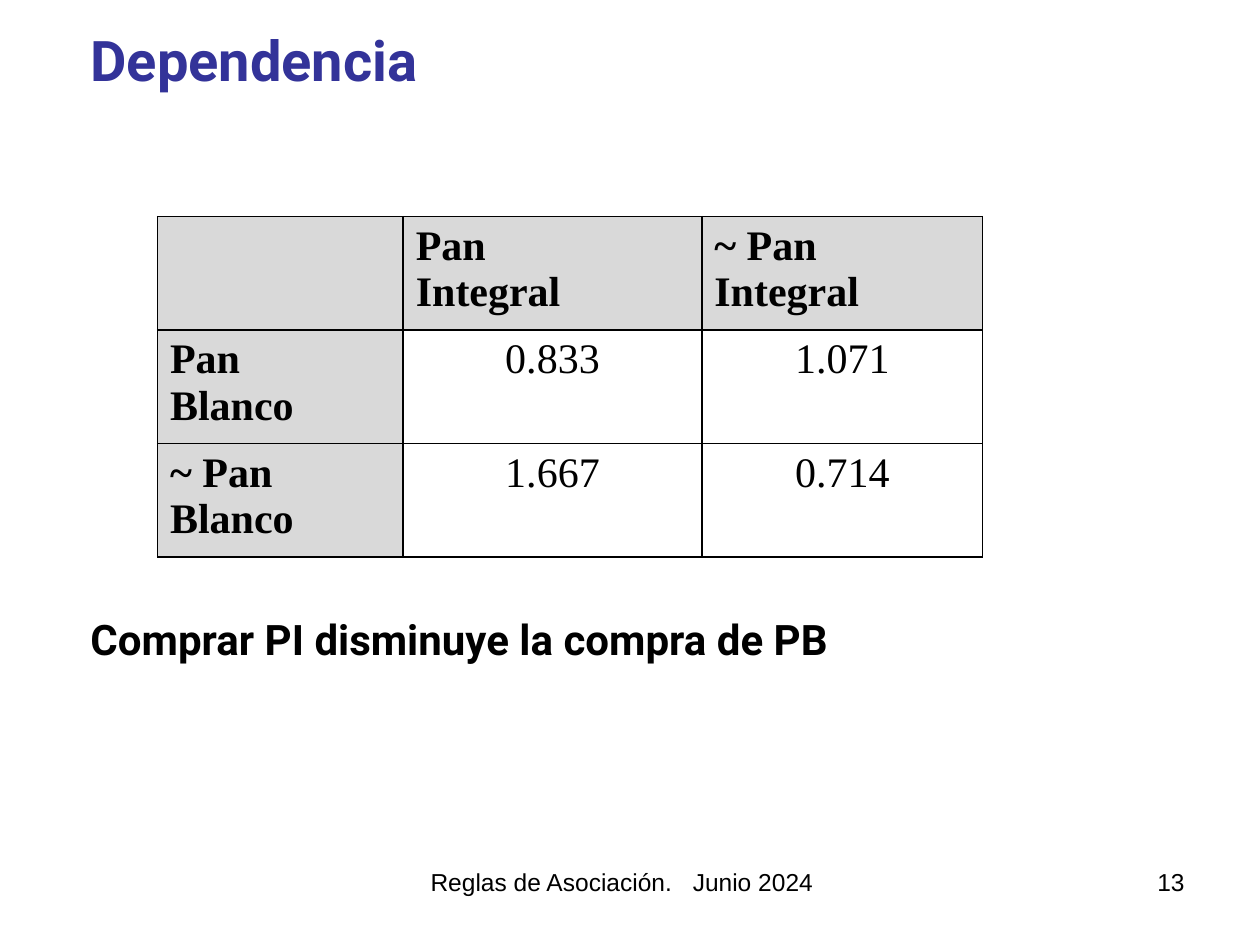
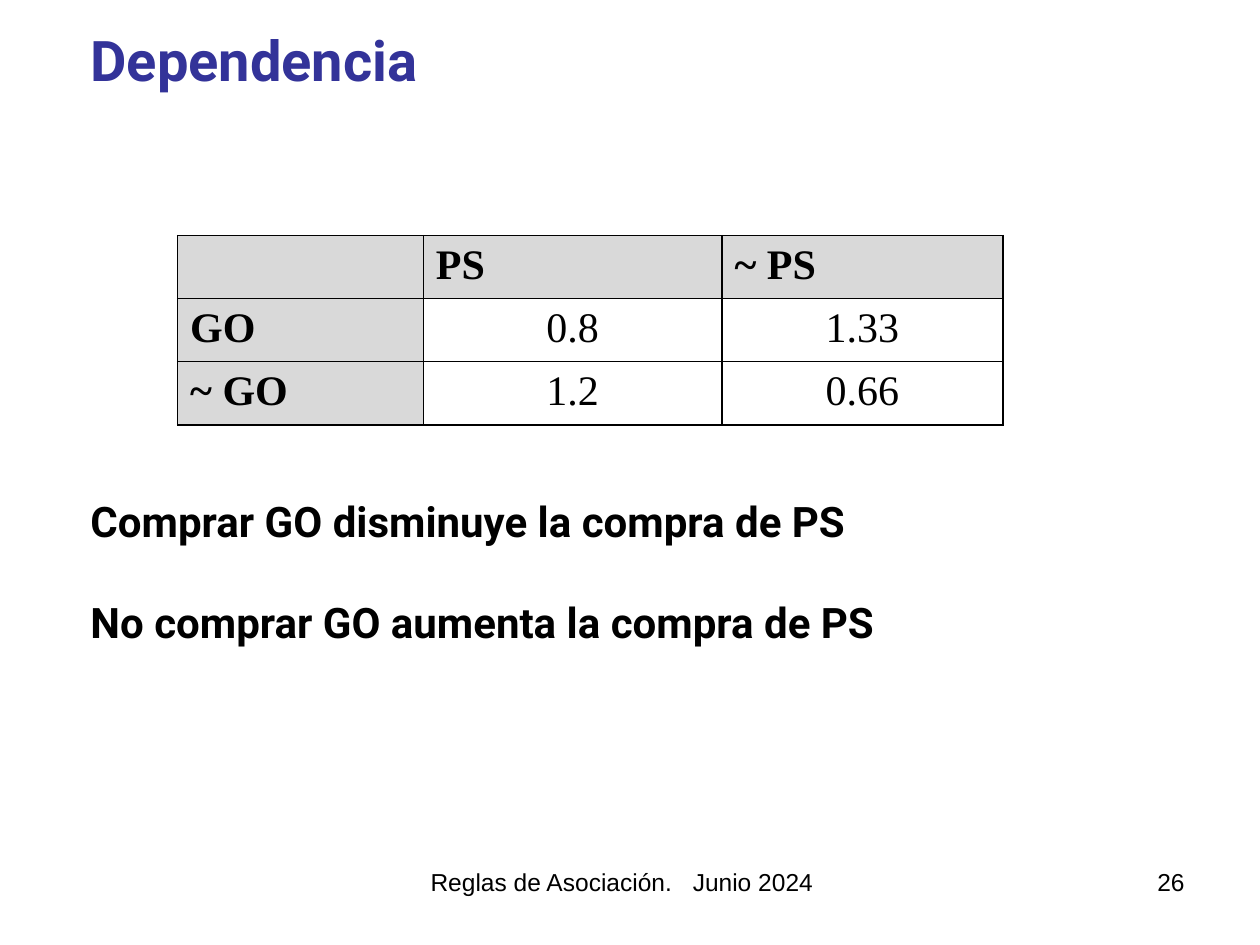
from lxml import etree
from pptx import Presentation
from pptx.dml.color import RGBColor
from pptx.enum.text import PP_ALIGN
from pptx.oxml.ns import qn
from pptx.util import Inches, Pt

LEFT, MID, RIGHT = PP_ALIGN.LEFT, PP_ALIGN.CENTER, PP_ALIGN.RIGHT

# Content: notes pair a gap (big lines, small lines) with a sentence
TITLE = "Dependencia"
FOOT = [("Reglas de Asociación.", 0), (" ", 7.8), ("Junio 2024", 0)]
SLIDES = [
    {
        "page": "13", "at": (1.25, 1.72), "row": 0.9, "high": 6.43,
        "grid": [
            ["", "Pan\nIntegral", "~ Pan\nIntegral"],
            ["Pan\nBlanco", "0.833", "1.071"],
            ["~ Pan\nBlanco", "1.667", "0.714"],
        ],
        "notes": [((7, 1), "Comprar PI disminuye la compra de PB")],
    },
    {
        "page": "26", "at": (1.41, 1.87), "row": 0.5, "high": 5.92,
        "grid": [
            ["", "PS", "~ PS"],
            ["GO", "0.8", "1.33"],
            ["~ GO", "1.2", "0.66"],
        ],
        "notes": [
            ((6, 0), "Comprar GO disminuye la compra de PS"),
            ((0, 1), "No comprar GO aumenta la compra de PS"),
        ],
    },
]

# Shared style
HEX = {"title": "333399", "text": "000000", "head": "D9D9D9", "cell": "FFFFFF"}
SANS, BODY, SERIF = "Arial", "Roboto", "Times New Roman"
BIG, SMALL, TINY = 32, 24, 14
LINE = 1.2  # line height per point of Roboto
COLS = (1.95, 2.37, 2.23)
WIDE, HIGH = 10, 7.5
FOOT_TOP, FOOT_HIGH = 6.83, 0.52


def write(par, text, size=SMALL, font=BODY, color="text", bold=False,
          align=LEFT, gap=0):
    """Fill a paragraph; text is a string or a list of (words, tracking)."""
    par.alignment = align
    par.space_before = Pt(gap)
    for words, track in [(text, 0)] if isinstance(text, str) else text:
        run = par.add_run()
        run.text = words
        run.font.size = Pt(size)
        run.font.name = font
        run.font.bold = bold
        run.font.color.rgb = RGBColor.from_string(HEX[color])
        if track:
            run._r.get_or_add_rPr().set("spc", str(round(track * 100)))


def add_box(slide, x, y, w, h):
    frame = slide.shapes.add_textbox(*map(Inches, (x, y, w, h))).text_frame
    frame.word_wrap = True
    return frame


def rule(cell):
    """Draw a thin line on all four sides of a cell."""
    props = cell._tc.get_or_add_tcPr()
    for spot, side in enumerate(("lnL", "lnR", "lnT", "lnB")):
        line = etree.Element(qn("a:" + side), w=str(Pt(1)))
        fill = etree.SubElement(line, qn("a:solidFill"))
        etree.SubElement(fill, qn("a:srgbClr"), val=HEX["text"])
        props.insert(spot, line)


def add_grid(slide, rows, at, high):
    x, y = at
    table = slide.shapes.add_table(
        len(rows), len(COLS), Inches(x), Inches(y),
        Inches(sum(COLS)), Inches(high * len(rows))).table
    table.first_row = table.horz_banding = False
    for col, wide in zip(table.columns, COLS):
        col.width = Inches(wide)
    for r, row in enumerate(rows):
        table.rows[r].height = Inches(high)
        for c, text in enumerate(row):
            cell = table.cell(r, c)
            head = r == 0 or c == 0
            cell.fill.solid()
            cell.fill.fore_color.rgb = RGBColor.from_string(
                HEX["head" if head else "cell"])
            rule(cell)
            if not text:
                continue
            frame = cell.text_frame
            for i, words in enumerate(text.split("\n")):
                par = frame.add_paragraph() if i else frame.paragraphs[0]
                write(par, words, font=SERIF, bold=head,
                      align=LEFT if head else MID)


def add_slide(deck, data):
    slide = deck.slides.add_slide(deck.slide_layouts[6])

    # Footer and page number
    foot = add_box(slide, 0.8, FOOT_TOP, 8.27, FOOT_HIGH)
    write(foot.paragraphs[0], FOOT, size=TINY, font=SANS, align=MID)
    page = add_box(slide, 9.02, FOOT_TOP, 0.48, FOOT_HIGH)
    write(page.paragraphs[0], data["page"], size=TINY, font=SANS, align=RIGHT)

    # Title, with the notes spaced to fall below the table
    body = add_box(slide, 0.62, 0.15, 8.83, data["high"])
    write(body.paragraphs[0], TITLE, size=BIG, color="title", bold=True)
    for (big, small), text in data["notes"]:
        write(body.add_paragraph(), text, bold=True,
              gap=LINE * (big * BIG + small * SMALL))

    # Dependence table
    add_grid(slide, data["grid"], data["at"], data["row"])


def main():
    deck = Presentation()
    deck.slide_width, deck.slide_height = Inches(WIDE), Inches(HIGH)
    for data in SLIDES:
        add_slide(deck, data)
    deck.save("out.pptx")


if __name__ == "__main__":
    main()
